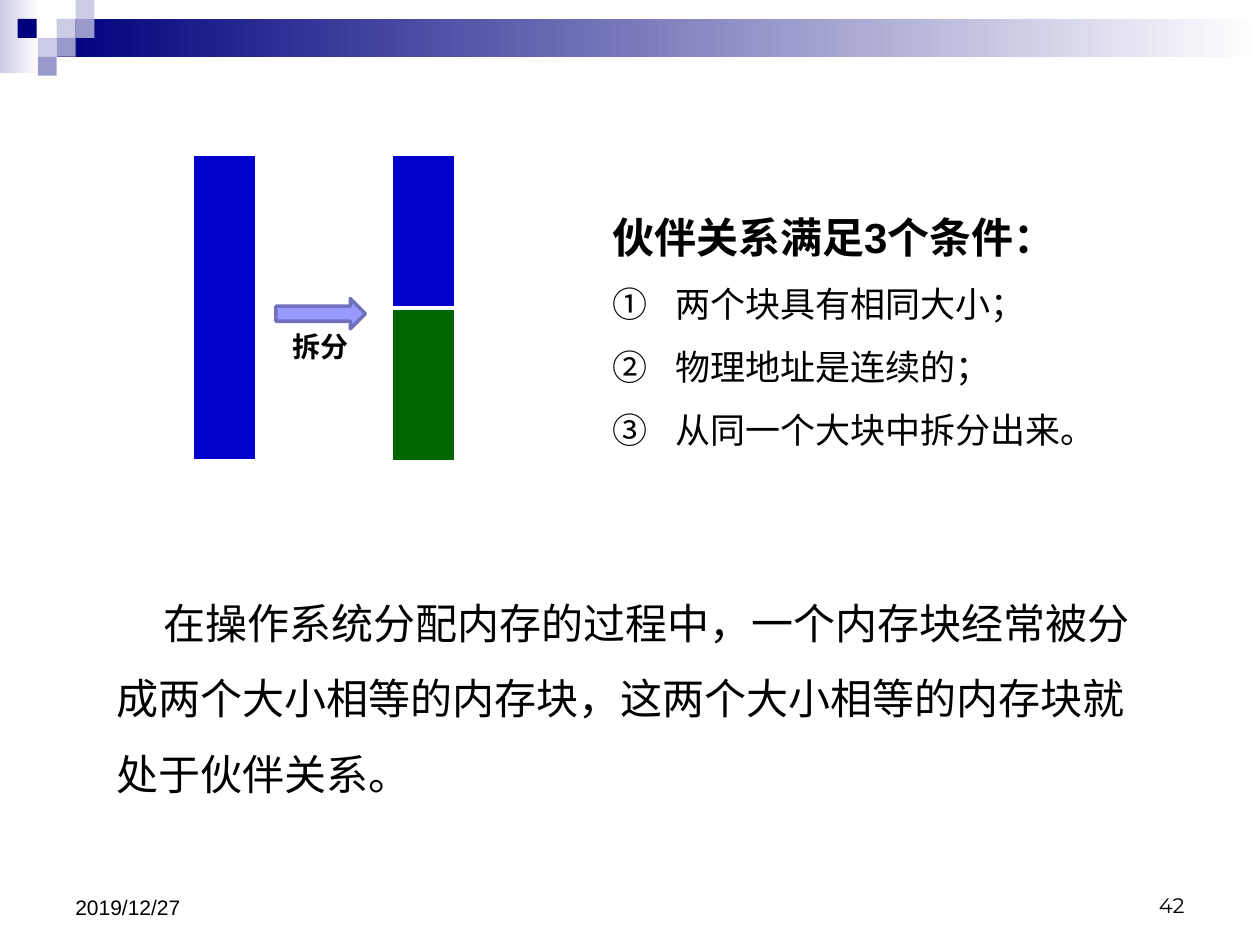
from dataclasses import dataclass
from lxml.etree import SubElement
from pptx import Presentation
from pptx.dml.color import RGBColor
from pptx.enum.shapes import MSO_SHAPE
from pptx.enum.text import MSO_ANCHOR, PP_ALIGN
from pptx.oxml.ns import qn
from pptx.util import Inches, Pt


@dataclass(frozen=True)
class Theme:
    navy: str = "00007D"
    pale: str = "CCCCE6"
    mid: str = "9999CC"
    white: str = "FFFFFF"
    black: str = "000000"
    blue: str = "0000CC"
    green: str = "006600"
    arrow: str = "9999FF"
    edge: str = "7171BD"
    font: str = "Arial"
    page: str = "Montserrat"
    head: int = 24
    item: int = 20
    label: int = 16
    foot: int = 12


THEME = Theme()


def color(code):
    return RGBColor.from_string(code)


def add_shape(slide, box, fill, end=None, kind=MSO_SHAPE.RECTANGLE):
    shape = slide.shapes.add_shape(kind, *map(Inches, box))
    shape.shadow.inherit = False
    shape.line.fill.background()
    if end:
        shape.fill.gradient()
        shape.fill.gradient_angle = 0
        for stop, code in zip(shape.fill.gradient_stops, (fill, end)):
            stop.color.rgb = color(code)
    else:
        shape.fill.solid()
        shape.fill.fore_color.rgb = color(fill)
    return shape


def add_band(slide):
    side = 0.15
    add_shape(slide, (0, 0, 0.31, 0.58), THEME.pale, THEME.white)
    add_shape(slide, (0.45, side, 9.55, 0.3), THEME.navy, THEME.white)
    tiles = [
        (3, 1, THEME.pale), (4, 0, THEME.pale), (4, 1, THEME.mid),
        (2, 2, THEME.pale), (3, 2, THEME.mid), (2, 3, THEME.mid),
    ]
    for col, row, code in tiles:
        add_shape(slide, (col * side, row * side, side, side), code)
    add_shape(slide, (0.14, side, side, side), THEME.navy)


def add_edge(cell, side, width):
    line = SubElement(cell._tc.get_or_add_tcPr(), qn(f"a:ln{side}"), w=str(Pt(width)))
    fill = SubElement(line, qn("a:solidFill"))
    SubElement(fill, qn("a:srgbClr"), val=THEME.white)


def add_block(slide, left, fills):
    high = 2.43
    frame = slide.shapes.add_table(
        len(fills), 1, Inches(left), Inches(1.23), Inches(0.5), Inches(high)
    )
    table = frame.table
    table.first_row = table.horz_banding = False
    for num, code in enumerate(fills):
        table.rows[num].height = Inches(high / len(fills))
        cell = table.cell(num, 0)
        top, base = (3, 1) if num else (1, 3)
        for side, width in zip("LRTB", (1, 1, top, base)):
            add_edge(cell, side, width)
        cell.fill.solid()
        cell.fill.fore_color.rgb = color(code)


def set_font(para, size, bold=False, name=THEME.font):
    para.font.size = Pt(size)
    para.font.bold = bold
    para.font.name = name
    para.font.color.rgb = color(THEME.black)


def add_text(slide, box, lines, size, bold=False, name=THEME.font, wrap=True, space=None):
    frame = slide.shapes.add_textbox(*map(Inches, box)).text_frame
    frame.word_wrap = wrap
    frame.text = "\n".join(lines)
    for para in frame.paragraphs:
        set_font(para, size, bold, name)
        if space:
            para.line_spacing = space
    return frame


def set_indent(para, first, left=0):
    props = para._p.get_or_add_pPr()
    props.set("marL", str(Inches(left)))
    props.set("indent", str(Inches(first)))
    return props


def add_rules(slide):
    lines = [
        "伙伴关系满足3个条件：",
        "两个块具有相同大小；",
        "物理地址是连续的；",
        "从同一个大块中拆分出来。",
    ]
    frame = add_text(slide, (4.76, 1.43, 4.21, 2.15), lines, THEME.head, True, space=1.5)
    for para in frame.paragraphs[1:]:
        props = set_indent(para, -0.5, 0.5)
        mark = props.makeelement(qn("a:buAutoNum"), {"type": "circleNumDbPlain"})
        props.find(qn("a:lnSpc")).addnext(mark)
        set_font(para, THEME.item)


def add_foot(slide):
    page = add_text(slide, (7.17, 6.83, 2.33, 0.5), ["42"], THEME.foot, name=THEME.page)
    page.paragraphs[0].alignment = PP_ALIGN.RIGHT
    date = add_text(slide, (0.5, 6.83, 2.33, 0.52), ["2019/12/27"], THEME.foot)
    for frame in (page, date):
        frame.vertical_anchor = MSO_ANCHOR.BOTTOM


def add_split(slide):
    add_block(slide, 1.53, [THEME.blue])
    add_block(slide, 3.11, [THEME.blue, THEME.green])
    arrow = add_shape(
        slide, (2.19, 2.37, 0.71, 0.24), THEME.arrow, kind=MSO_SHAPE.RIGHT_ARROW
    )
    arrow.line.color.rgb = color(THEME.edge)
    arrow.line.width = Pt(2)
    add_text(slide, (2.22, 2.57, 0.65, 0.37), ["拆分"], THEME.label, True, wrap=False)


def add_body(slide):
    text = (
        "在操作系统分配内存的过程中，一个内存块经常被分成两个大小相等的内存块，"
        "这两个大小相等的内存块就处于伙伴关系。"
    )
    frame = add_text(slide, (0.83, 4.49, 8.43, 1.84), [text], THEME.head, space=1.5)
    set_indent(frame.paragraphs[0], 0.37)


def main():
    deck = Presentation()
    deck.slide_width, deck.slide_height = Inches(10), Inches(7.5)
    slide = deck.slides.add_slide(deck.slide_layouts[6])
    add_band(slide)
    add_foot(slide)
    add_split(slide)
    add_body(slide)
    add_rules(slide)
    deck.save("out.pptx")


if __name__ == "__main__":
    main()
